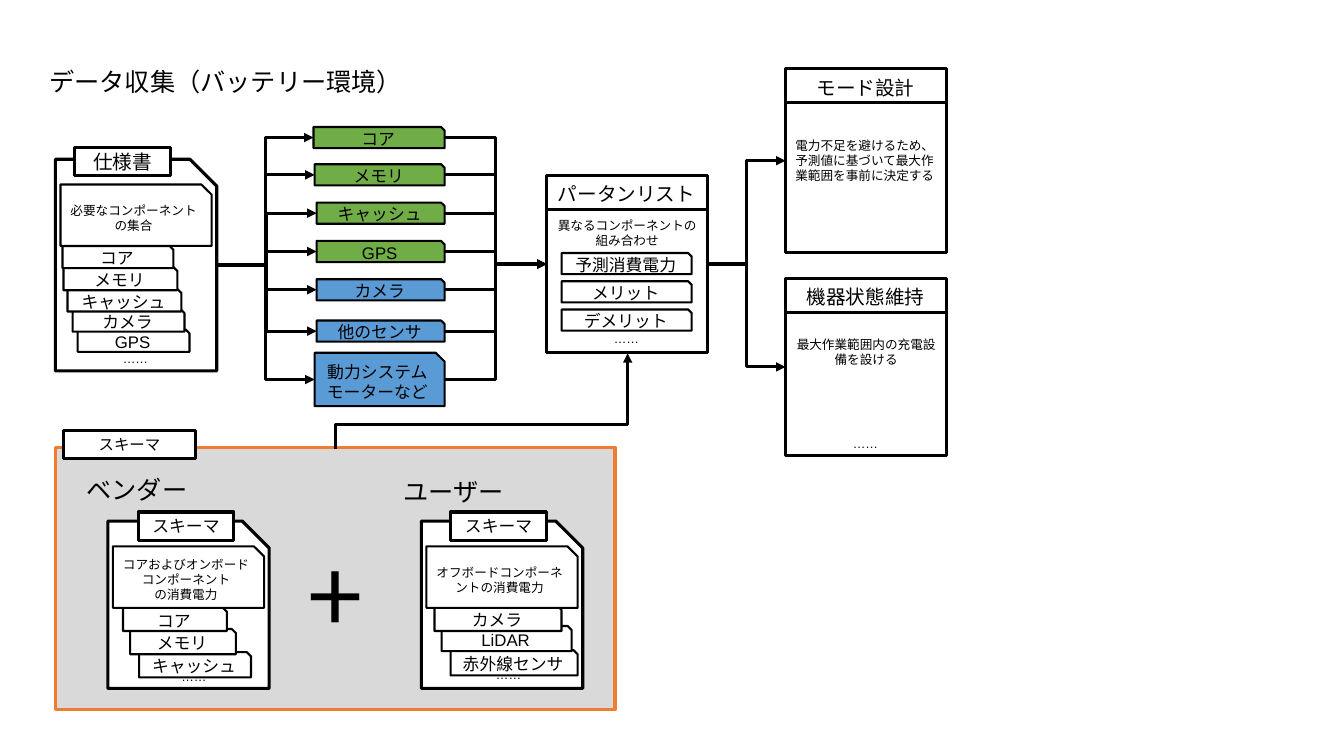
from lxml import etree
from pptx import Presentation
from pptx import util as u
from pptx.dml.color import RGBColor
from pptx.enum import shapes, text
from pptx.oxml.ns import qn

COLORS = {"ink": "000000", "paper": "FFFFFF", "zone": "D9D9D9",
          "zone_edge": "ED7D31", "onboard": "70AD47", "external": "5B9BD5"}
BODY, HEADING = "Arial", "Noto Sans CJK SC"
RECT = shapes.MSO_SHAPE.RECTANGLE
SNIP = shapes.MSO_SHAPE.SNIP_1_RECTANGLE
STRAIGHT, ELBOW = shapes.MSO_CONNECTOR.STRAIGHT, shapes.MSO_CONNECTOR.ELBOW

HEADINGS = [
    ("データ収集（バッテリー環境）", (0.39, 0.61, 3.74, 0.4), 18),
    ("ベンダー", (0.76, 4.66, 1.21, 0.4), 18),
    ("ユーザー", (3.9, 4.68, 1.21, 0.4), 18),
    ("+", (2.95, 5.25, 0.88, 1.31), 72),
]
ZONE = (0.55, 4.44, 5.55, 2.6)
ZONE_TAB = ("スキーマ", (0.63, 4.27, 1.31, 0.28))
CARDS = [
    {"box": (0.55, 1.58, 1.6, 2.1), "tab": "仕様書", "tab_size": 14, "tab_at": (0.74, 1.46),
     "summary": "必要なコンポーネントの集合", "dots": (1.12, 3.43),
     "items": [("コア", 0.62, 2.44, 1.1, 0.22), ("メモリ", 0.63, 2.65, 1.13, 0.23),
               ("キャッシュ", 0.67, 2.87, 1.13, 0.22), ("カメラ", 0.72, 3.07, 1.11, 0.22),
               ("GPS", 0.77, 3.27, 1.11, 0.22)]},
    {"box": (1.07, 5.17, 1.6, 1.66), "tab": "スキーマ", "tab_size": 12, "tab_at": (1.37, 5.08),
     "summary": "コアおよびオンボードコンポーネント\nの消費電力", "dots": (1.7, 6.59),
     "items": [("コア", 1.22, 6.03, 1.03, 0.23), ("メモリ", 1.29, 6.24, 1.05, 0.25),
               ("キャッシュ", 1.38, 6.47, 1.11, 0.25)]},
    {"box": (4.18, 5.17, 1.6, 1.66), "tab": "スキーマ", "tab_size": 12, "tab_at": (4.47, 5.08),
     "summary": "オフボードコンポーネントの消費電力", "dots": (4.82, 6.57),
     "items": [("カメラ", 4.31, 6.01, 1.26, 0.25), ("LiDAR", 4.38, 6.21, 1.29, 0.25),
               ("赤外線センサ", 4.47, 6.45, 1.26, 0.25)]},
]
COMPONENTS = [
    ("コア", 3.11, 1.26, 0.21, "onboard"),
    ("メモリ", 3.12, 1.63, 0.21, "onboard"),
    ("キャッシュ", 3.14, 2.01, 0.21, "onboard"),
    ("GPS", 3.14, 2.39, 0.21, "onboard"),
    ("カメラ", 3.14, 2.77, 0.21, "external"),
    ("他のセンサ", 3.14, 3.18, 0.21, "external"),
    ("動力システム\nモーターなど", 3.12, 3.5, 0.53, "external"),
]
COMPONENT_RIGHT = 4.41
PANELS = [
    {"title": "パータンリスト", "box": (5.42, 1.74, 1.6, 1.76), "align": "CENTER",
     "body": "異なるコンポーネントの組み合わせ", "below": 0.67, "dots": (5.99, 3.23)},
    {"title": "モード設計", "box": (7.79, 0.68, 1.6, 1.83), "align": "LEFT",
     "body": "電力不足を避けるため、予測値に基づいて最大作業範囲を事前に決定する",
     "below": 0.05, "dots": None},
    {"title": "機器状態維持", "box": (7.79, 2.76, 1.6, 1.76), "align": "CENTER",
     "body": "最大作業範囲内の充電設備を設ける", "below": 0.35, "dots": (8.36, 4.28)},
]
PATTERN_FIELDS = ["予測消費電力", "メリット", "デメリット"]
FLOW_Y = 2.63

deck = Presentation()
deck.slide_width, deck.slide_height = u.Inches(13.33), u.Inches(7.5)
slide = deck.slides.add_slide(deck.slide_layouts[6])


def rgb(name):
    return RGBColor.from_string(COLORS[name])


def write(holder, words, size=12, font=BODY, align="CENTER", anchor="MIDDLE",
          wrap=True, below=0.05):
    frame = holder.text_frame
    frame.word_wrap = wrap
    frame.vertical_anchor = getattr(text.MSO_ANCHOR, anchor)
    frame.margin_bottom = u.Inches(below)
    for index, line in enumerate(words.split("\n")):
        paragraph = frame.add_paragraph() if index else frame.paragraphs[0]
        paragraph.alignment = getattr(text.PP_ALIGN, align)
        run = paragraph.add_run()
        run.text = line
        run.font.size, run.font.name = u.Pt(size), font
        run.font.color.rgb = rgb("ink")
        east_asian = etree.SubElement(run.font._element, qn("a:ea"))
        east_asian.set("typeface", HEADING)


def block(kind, box, words="", fill="paper", edge="ink", weight=1.5, **style):
    shape = slide.shapes.add_shape(kind, *map(u.Inches, box))
    shape.shadow.inherit = False
    shape.fill.solid()
    shape.fill.fore_color.rgb = rgb(fill)
    shape.line.color.rgb = rgb(edge)
    shape.line.width = u.Pt(weight)
    if words:
        write(shape, words, **style)
    return shape


def label(words, box, **style):
    write(slide.shapes.add_textbox(*map(u.Inches, box)), words,
          **{"align": "LEFT", "anchor": "TOP", **style})


def dots(at):
    label("……", (*at, 0.45, 0.25), size=9, wrap=False)


def link(kind, start, end, arrow=True):
    line = slide.shapes.add_connector(kind, *map(u.Inches, start + end))
    line.line.color.rgb = rgb("ink")
    line.line.width = u.Pt(2.25)
    if arrow:
        head = etree.SubElement(line.line._get_or_add_ln(), qn("a:tailEnd"))
        head.set("type", "triangle")
    etree.SubElement(line._element.spPr, qn("a:effectLst"))
    return line


def card(box, tab, tab_size, tab_at, summary, items, dots_at):
    left, top = box[:2]
    block(SNIP, box, weight=2.25)
    block(RECT, (*tab_at, 0.95, 0.28), tab, weight=2.25, size=tab_size)
    for words, *place in reversed(items):
        block(SNIP, place, words)
    block(SNIP, (left + 0.05, top + 0.25, 1.5, 0.61), summary, size=9)
    dots(dots_at)


def panel(title, box, body, align, below, dots_at):
    left, top, width = box[:3]
    frame = block(RECT, box, body, weight=2.25, size=9, align=align, below=below)
    link(STRAIGHT, (left, top + 0.34), (left + width, top + 0.34), arrow=False)
    label(title, (left + 0.01, top + 0.02, 1.57, 0.34), size=14, align="CENTER")
    if dots_at:
        dots(dots_at)
    return frame


block(RECT, ZONE, fill="zone", edge="zone_edge", weight=2.25)
for entry in CARDS:
    card(entry["box"], entry["tab"], entry["tab_size"], entry["tab_at"],
         entry["summary"], entry["items"], entry["dots"])
for words, box, size in HEADINGS:
    label(words, box, size=size, font=HEADING, wrap=False)
block(RECT, ZONE_TAB[1], ZONE_TAB[0], weight=2.25, size=11)

pattern, mode, upkeep = [
    panel(p["title"], p["box"], p["body"], p["align"], p["below"], p["dots"]) for p in PANELS]
for row, words in enumerate(PATTERN_FIELDS):
    block(SNIP, (5.57, 2.51 + 0.28 * row, 1.29, 0.21), words)

for words, left, top, height, color in COMPONENTS:
    middle = top + height / 2
    block(SNIP, (left, top, COMPONENT_RIGHT - left, height), words, fill=color)
    link(ELBOW, (2.15, FLOW_Y), (left, middle))
    link(ELBOW, (COMPONENT_RIGHT, middle), (5.42, 2.62))

for target in (mode, upkeep):
    branch = link(ELBOW, (7.02, 2.62), (7.79, 2.62))
    branch.begin_connect(pattern, 3)
    branch.end_connect(target, 1)

schema_feed = link(ELBOW, (5.25, 5.43), (4.3, 2.53))
schema_feed._element.spPr.find(qn("a:xfrm")).set("rot", "5400000")
geometry = schema_feed._element.spPr.find(qn("a:prstGeom"))
bend = etree.SubElement(geometry.find(qn("a:avLst")), qn("a:gd"))
bend.set("name", "adj1")
bend.set("fmla", "val 25600")

deck.save("out.pptx")
